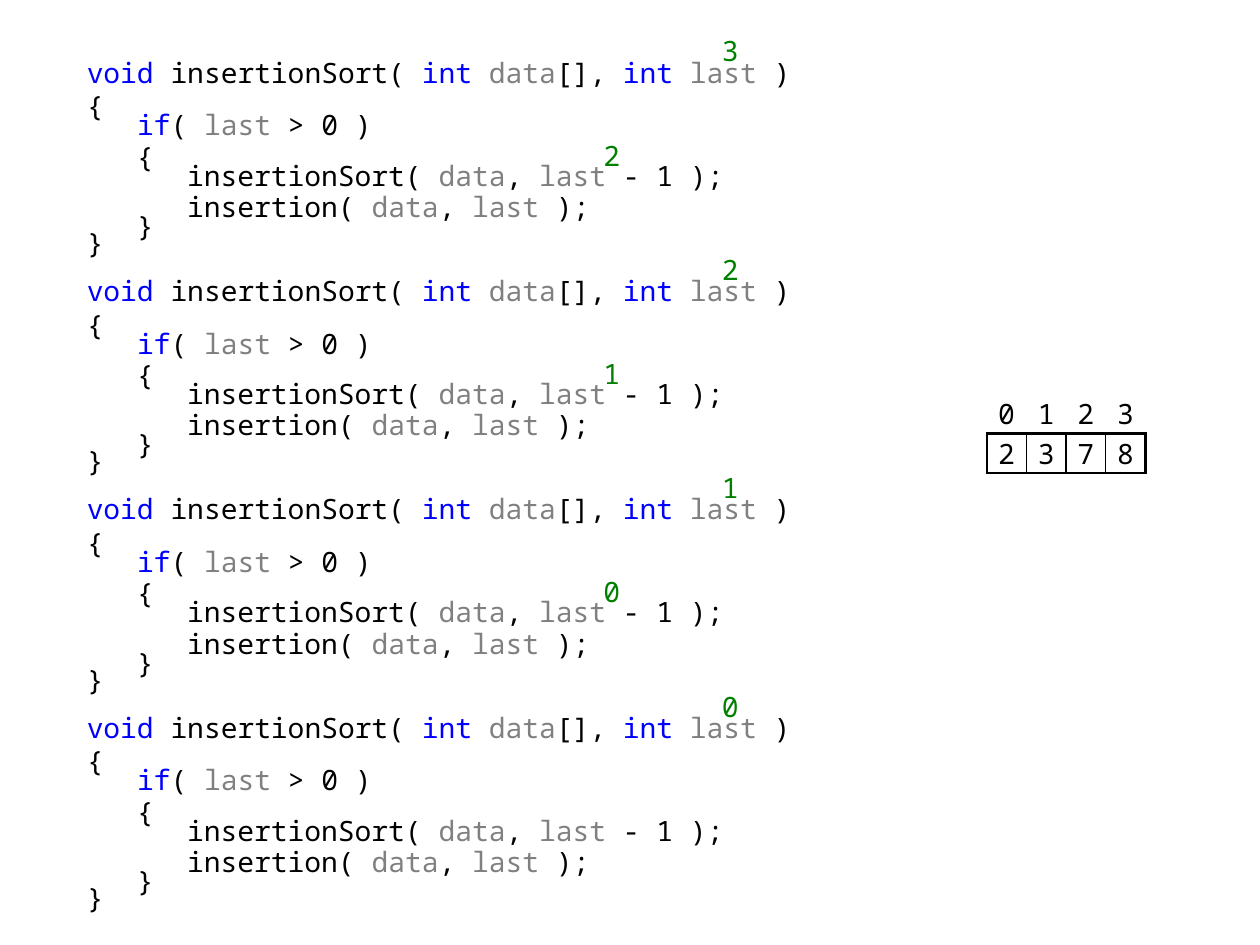
from lxml.etree import SubElement
from pptx import Presentation
from pptx.dml.color import RGBColor
from pptx.enum.text import MSO_ANCHOR as Anchor, PP_ALIGN as Align
from pptx.oxml.ns import qn
from pptx.util import Pt

CODE = [
    ("void |insertionSort( |int |data|[], |int |last| )", 1),
    ("{", 1),
    ("   |if|( |last| > 0 )", 0.5),
    ("   {", 1),
    ("      insertionSort( |data|, |last| - 1 );", 0.5),
    ("      insertion( |data|, |last| );", 1),
    ("   }", 0.5),
    ("}", 0.5),
]
CALL_VALUES = ["3", "2", "1", "0"]
ARRAY = [["0", "1", "2", "3"], ["2", "3", "7", "8"]]

COLORS = {
    "keyword": "0000FF",
    "parameter": "808080",
    "plain": "000000",
    "value": "008000",
    "cell": "FFFFFF",
}
TOKEN_KINDS = dict.fromkeys(["void", "int", "if"], "keyword")
TOKEN_KINDS.update(dict.fromkeys(["data", "last"], "parameter"))

FONT = "Noto Sans Mono"
CODE_LEFT, CODE_TOP, CODE_WIDTH, CODE_HEIGHT = 42.5, 31.5, 419.5, 113
CALL_PITCH = 124.8
VALUE_SIZE = 22.5
TABLE_LEFT, TABLE_TOP, CELL_SIZE = 563.8, 225, 22.68
THICK, THIN = 1.5, 0.75


def style_run(run, kind):
    run.font.name = FONT
    run.font.size = Pt(16)
    run.font.color.rgb = RGBColor.from_string(COLORS[kind])


def add_text_frame(slide, left, top, width, height, bottom_inset=0):
    box = slide.shapes.add_textbox(Pt(left), Pt(top), Pt(width), Pt(height))
    text_frame = box.text_frame
    text_frame.margin_left = text_frame.margin_right = Pt(7.2)
    text_frame.margin_top = 0
    text_frame.margin_bottom = Pt(bottom_inset)
    return text_frame


def add_code(slide, top):
    text_frame = add_text_frame(slide, CODE_LEFT, top, CODE_WIDTH, CODE_HEIGHT)
    text_frame.word_wrap = True
    for index, (line, spacing) in enumerate(CODE):
        paragraph = text_frame.add_paragraph() if index else text_frame.paragraphs[0]
        paragraph.line_spacing = float(spacing)
        for token in line.split("|"):
            run = paragraph.add_run()
            run.text = token
            style_run(run, TOKEN_KINDS.get(token.strip(), "plain"))


def add_value(slide, text, left, top, bottom_inset=0):
    text_frame = add_text_frame(slide, left, top, VALUE_SIZE, VALUE_SIZE, bottom_inset)
    text_frame.word_wrap = False
    text_frame.vertical_anchor = Anchor.MIDDLE
    text_frame.text = text
    paragraph = text_frame.paragraphs[0]
    paragraph.alignment = Align.CENTER
    style_run(paragraph.runs[0], "value")


def set_borders(cell, widths):
    properties = cell._tc.get_or_add_tcPr()
    for index, (side, width) in enumerate(widths.items()):
        line = properties.makeelement(qn(f"a:ln{side}"), {"w": str(Pt(width))})
        properties.insert(index, line)
        if width:
            fill = SubElement(line, qn("a:solidFill"))
            SubElement(fill, qn("a:srgbClr"), val=COLORS["plain"])
        else:
            SubElement(line, qn("a:noFill"))


def add_array(slide):
    row_count, column_count = len(ARRAY), len(ARRAY[0])
    table = slide.shapes.add_table(
        row_count, column_count, Pt(TABLE_LEFT), Pt(TABLE_TOP),
        Pt(CELL_SIZE * column_count), Pt(CELL_SIZE * row_count),
    ).table
    table.first_row = table.horz_banding = False
    for column in table.columns:
        column.width = Pt(CELL_SIZE)
    for row_index, values in enumerate(ARRAY):
        table.rows[row_index].height = Pt(CELL_SIZE)
        for column_index, value in enumerate(values):
            cell = table.cell(row_index, column_index)
            cell.margin_left = cell.margin_right = 0
            cell.margin_top = cell.margin_bottom = 0
            cell.vertical_anchor = Anchor.MIDDLE
            cell.text_frame.text = value
            paragraph = cell.text_frame.paragraphs[0]
            paragraph.alignment = Align.CENTER
            style_run(paragraph.runs[0], "plain")
            if row_index == 0:
                cell.fill.background()
                set_borders(cell, {"L": 0, "R": 0, "T": 0, "B": THICK})
            else:
                cell.fill.solid()
                cell.fill.fore_color.rgb = RGBColor.from_string(COLORS["cell"])
                left = THIN if column_index else THICK
                right = THIN if column_index < column_count - 1 else THICK
                set_borders(cell, {"L": left, "R": right, "T": THICK, "B": THICK})


def main():
    presentation = Presentation()
    presentation.slide_width, presentation.slide_height = Pt(720), Pt(540)
    slide = presentation.slides.add_slide(presentation.slide_layouts[6])
    for index in range(len(CALL_VALUES)):
        add_code(slide, CODE_TOP + index * CALL_PITCH)
    add_array(slide)
    for index, value in enumerate(CALL_VALUES):
        add_value(slide, value, 405.4, 20.6 + index * CALL_PITCH, 5.8)
    for index, value in enumerate(CALL_VALUES[1:]):
        add_value(slide, value, 337.7, 77.3 + index * CALL_PITCH)
    presentation.save("out.pptx")


if __name__ == "__main__":
    main()
